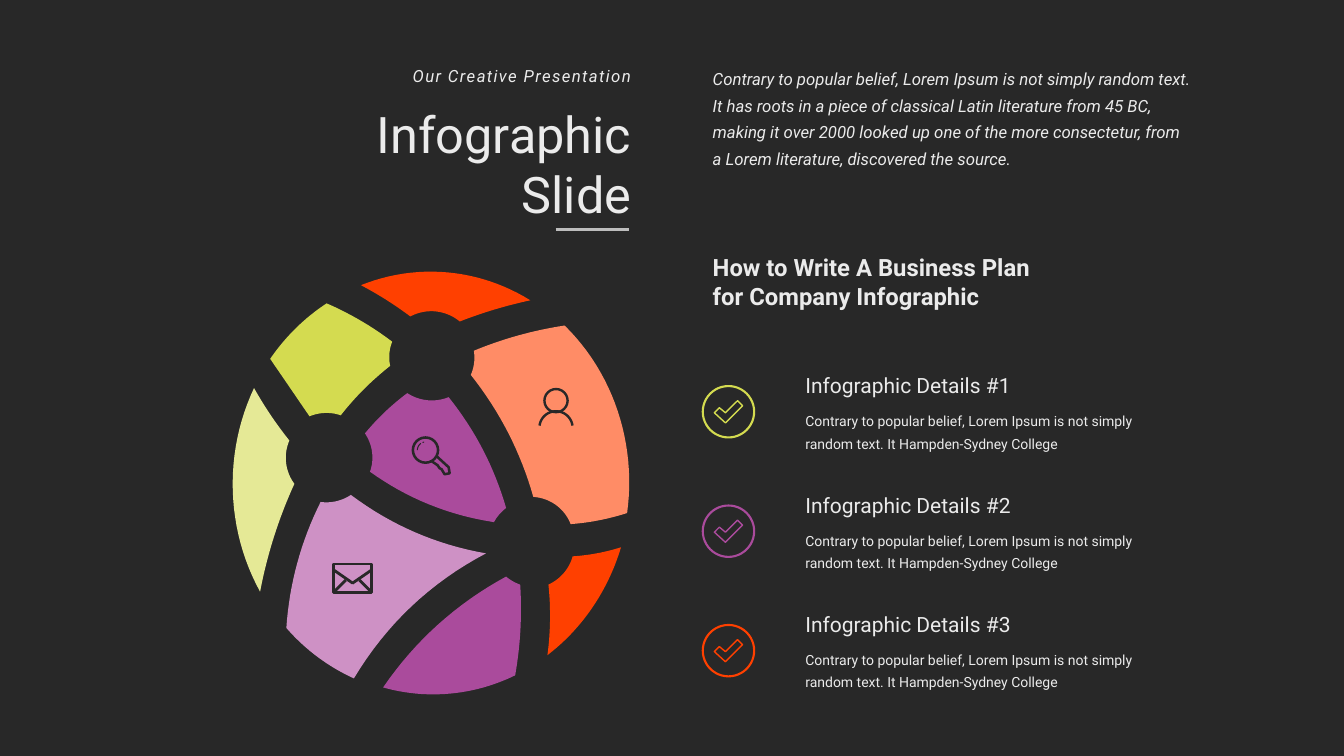
import math

from pptx import Presentation
from pptx import util as u
from pptx.dml.color import RGBColor
from pptx.enum import shapes, text
from pptx.oxml.ns import qn

# Every length is a count of cells in a grid of 1333 columns by 750 rows.
CELL = u.Inches(0.01)
COLS, ROWS = 1333, 750
FONT = "Roboto"
COLORS = {
    "dark": "282828", "text": "EBEBEB", "rule": "BDBDBD",
    "lime": "D4DB50", "pale lime": "E5E996",
    "orange": "FF4000", "peach": "FF8C66",
    "purple": "AA4B9C", "lilac": "CE91C5",
}

INTRO = ("Contrary to popular belief, Lorem Ipsum is not simply random text. "
         "It has roots in a piece of classical Latin literature from 45 BC, "
         "making it over 2000 looked up one of the more consectetur, from "
         "a Lorem literature, discovered the source.")
DETAIL = ("Contrary to popular belief, Lorem Ipsum is not simply random text. "
          "It Hampden-Sydney College")
DETAIL_COLORS = ("lime", "purple", "orange")
DETAIL_TOP, DETAIL_PITCH = 365, 118.5

# Centre and height-to-width ratio of the globe's rim and its three round hubs.
ROUNDS = {"rim": (428, 480, 1.07), "north": (428, 353, 1),
          "west": (327, 454, 1), "east": (529, 537, 1)}
# Corners of each piece, with the edge that leaves the corner: the round it
# follows, or its bulge in percent of its length.
GLOBE = [
    ("lime", [(307, 413, "west"), (338, 412, 3), (387, 363, "north"),
              (389, 339, -3), (324, 301, "rim"), (268, 356, 0)]),
    ("pale lime", [(287, 437, 2), (252, 385, "rim"), (258, 587, 3), (292, 480, "west")]),
    ("orange", [(456, 319, 2), (526, 298, "rim"), (358, 283, 2), (407, 314, "north")]),
    ("purple", [(490, 518, "east"), (502, 504, -5), (445, 394, "north"),
                (404, 390, -3), (362, 430, "west"), (367, 468, -6)]),
    ("orange", [(544, 580, 3), (543, 650, "rim"), (616, 543, 3), (568, 552, "east")]),
    ("lilac", [(482, 549, 6), (348, 491, "west"), (318, 498, -5),
               (284, 623, "rim"), (351, 673, 7)]),
    ("peach", [(560, 323, -3), (470, 348, "north"), (467, 372, 5),
               (529, 493, "east"), (566, 520, -3), (622, 509, "rim")]),
    ("purple", [(502, 572, -6), (380, 682, "rim"), (511, 670, -3), (516, 580, "east")]),
]


def cells(*counts):
    return [round(n * CELL) for n in counts]


def rgb(name):
    return RGBColor.from_string(COLORS[name])


def arc(cx, cy, radius, start, end, steps=24):
    angles = [math.radians(start + (end - start) * n / steps) for n in range(steps + 1)]
    return [(cx + radius * math.cos(a), cy + radius * math.sin(a)) for a in angles]


def round_edge(start, end, cx, cy, ratio, steps=24):
    """Go the short way round a centre from start to end."""
    polar = []
    for x, y in (start, end):
        dx, dy = x - cx, (y - cy) / ratio
        polar.append((math.hypot(dx, dy), math.atan2(dy, dx)))
    (r1, a1), (r2, a2) = polar
    turn = math.remainder(a2 - a1, math.tau)
    points = []
    for n in range(steps):
        t = n / steps
        radius, angle = r1 + (r2 - r1) * t, a1 + turn * t
        points.append((cx + radius * math.cos(angle),
                       cy + ratio * radius * math.sin(angle)))
    return points


def bulged_edge(start, end, percent, steps=16):
    (x1, y1), (x2, y2) = start, end
    dx, dy = x2 - x1, y2 - y1
    points = []
    for n in range(steps):
        t = n / steps
        lift = 4 * t * (1 - t) * percent / 100
        points.append((x1 + dx * t + dy * lift, y1 + dy * t - dx * lift))
    return points


def piece_outline(corners):
    points = []
    for (x, y, edge), (next_x, next_y, _) in zip(corners, corners[1:] + corners[:1]):
        start, end = (x, y), (next_x, next_y)
        if edge in ROUNDS:
            points += round_edge(start, end, *ROUNDS[edge])
        else:
            points += bulged_edge(start, end, edge)
    return points


def add_path(slide, points, fill=None, line=None, width=2, close=False):
    first, *rest = [cells(*point) for point in points]
    builder = slide.shapes.build_freeform(*first, scale=1.0)
    builder.add_line_segments(rest, close=close)
    paint(builder.convert_to_shape(), fill, line, width)


def add_preset(slide, kind, box, line, width):
    paint(slide.shapes.add_shape(kind, *cells(*box)), None, line, width)


def paint(sp, fill, line, width):
    sp.shadow.inherit = False
    if fill:
        sp.fill.solid()
        sp.fill.fore_color.rgb = rgb(fill)
    else:
        sp.fill.background()
    if line:
        sp.line.color.rgb = rgb(line)
        sp.line.width = u.Pt(width)
    else:
        sp.line.fill.background()


def add_ring(slide, cx, cy, radius, color, width):
    box = (cx - radius, cy - radius, 2 * radius, 2 * radius)
    add_preset(slide, shapes.MSO_SHAPE.OVAL, box, color, width)


def add_text(slide, box, words, size, bold=False, italic=False, right=False,
             leading=None, spacing=None):
    tf = slide.shapes.add_textbox(*cells(*box)).text_frame
    tf.word_wrap = True
    tf.auto_size = text.MSO_AUTO_SIZE.SHAPE_TO_FIT_TEXT
    tf.text = words
    p = tf.paragraphs[0]
    p.alignment = text.PP_ALIGN.RIGHT if right else text.PP_ALIGN.LEFT
    if leading:
        p.line_spacing = u.Pt(leading)
    r = p.runs[0]
    r.font.name, r.font.size = FONT, u.Pt(size)
    r.font.bold, r.font.italic = bold, italic
    r.font.color.rgb = rgb("text")
    if spacing:
        r.font._element.set("spc", str(spacing * 100))


def add_rule(slide, x1, x2, y):
    line = slide.shapes.add_connector(shapes.MSO_CONNECTOR.STRAIGHT, *cells(x1, y, x2, y))
    line.line.color.rgb = rgb("rule")
    line.line.width = u.Pt(2)
    sp_pr = line._element.spPr
    sp_pr.append(sp_pr.makeelement(qn("a:effectLst"), {}))


def add_detail(slide, index, color):
    top = DETAIL_TOP + index * DETAIL_PITCH
    cx, cy = 722.5, top + 43.5
    check = [(-14, 1), (-9, -4), (-3, 1), (9, -11), (14, -6), (-3, 11)]
    add_path(slide, [(cx + x, cy + y) for x, y in check], line=color, width=1, close=True)
    add_ring(slide, cx, cy, 25.5, color, 1.5)
    add_text(slide, (789, top, 273, 35), f"Infographic Details #{index + 1}", 15)
    add_text(slide, (789, top + 34, 394, 53), DETAIL, 10, leading=16)


def add_person(slide, cx, cy):
    add_ring(slide, cx, cy, 11.5, "dark", 1.7)
    add_path(slide, arc(cx, cy + 27, 16.5, 188, 352), line="dark", width=1.7)


def add_envelope(slide, left, top, width, height):
    right, bottom, middle = left + width, top + height, left + width / 2
    add_preset(slide, shapes.MSO_SHAPE.RECTANGLE, (left, top, width, height), "dark", 2)
    add_path(slide, [(left, top + 6), (middle, top + 19), (right, top + 6)], line="dark")
    for corner, inward in ((left, 1), (right, -1)):
        add_path(slide, [(corner, bottom), (corner + inward * 12, top + 16)], line="dark")


def add_key(slide, cx, cy):
    add_ring(slide, cx, cy, 12.5, "dark", 1.8)
    for start, end in ((180, 235), (250, 260)):
        add_path(slide, arc(cx, cy, 8, start, end), line="dark", width=0.75)
    shaft = [(11, 6), (23, 17), (24, 23), (19, 24), (16, 19), (14, 18), (12, 15), (6, 11)]
    add_path(slide, [(cx + x, cy + y) for x, y in shaft], line="dark", width=1.8)


def main():
    prs = Presentation()
    prs.slide_width, prs.slide_height = cells(COLS, ROWS)
    slide = prs.slides.add_slide(prs.slide_layouts[6])
    slide.background.fill.solid()
    slide.background.fill.fore_color.rgb = rgb("dark")

    add_text(slide, (302, 97, 334, 131), "Infographic Slide", 36, right=True)
    add_text(slide, (337, 60, 299, 30), "Our Creative Presentation", 12,
             italic=True, right=True, spacing=1)
    add_rule(slide, 551, 624, 228)
    add_text(slide, (697, 57, 495, 114), INTRO, 12, italic=True, leading=19)
    for color, corners in GLOBE:
        add_path(slide, piece_outline(corners), fill=color, close=True)
    add_text(slide, (697, 246, 354, 67),
             "How to Write A Business Plan for Company Infographic", 17, bold=True)
    for index, color in enumerate(DETAIL_COLORS):
        add_detail(slide, index, color)
    add_person(slide, 551.5, 397.5)
    add_envelope(slide, 331, 559.5, 37.5, 28)
    add_key(slide, 422, 446.5)
    prs.save("out.pptx")


if __name__ == "__main__":
    main()
